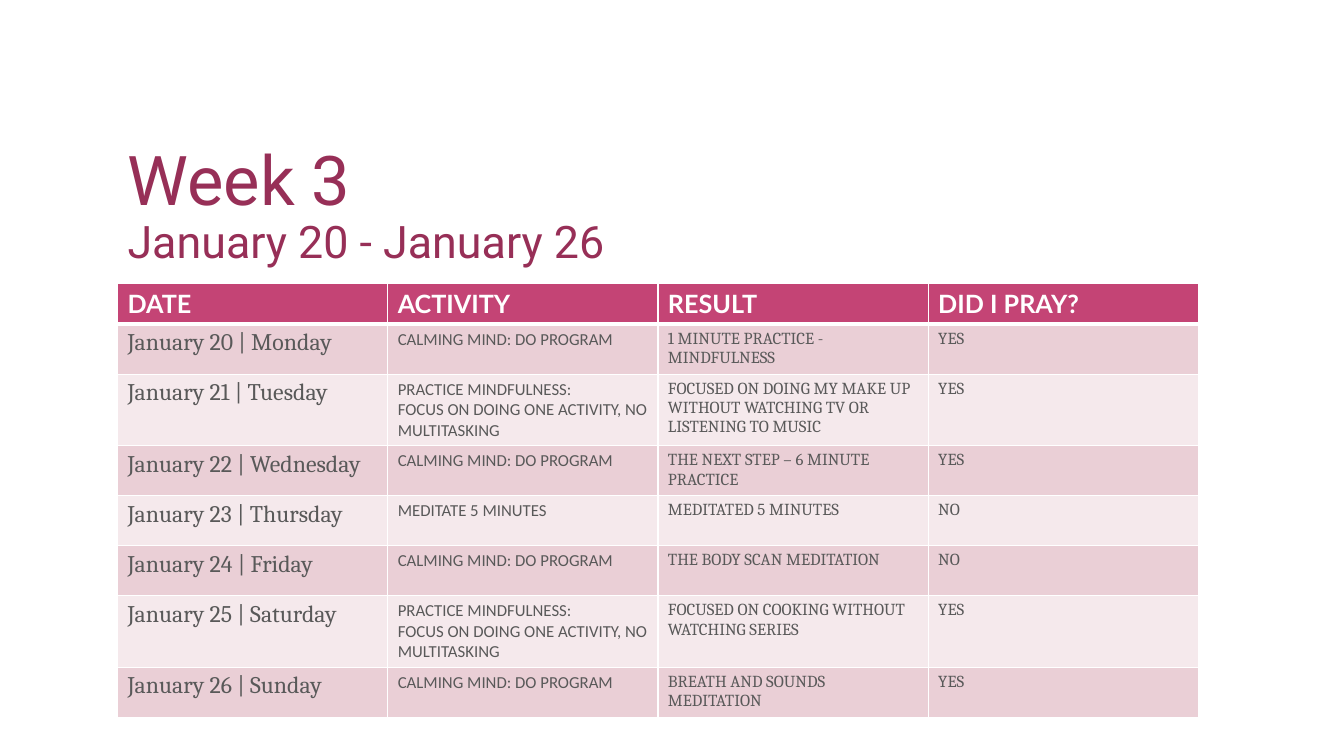
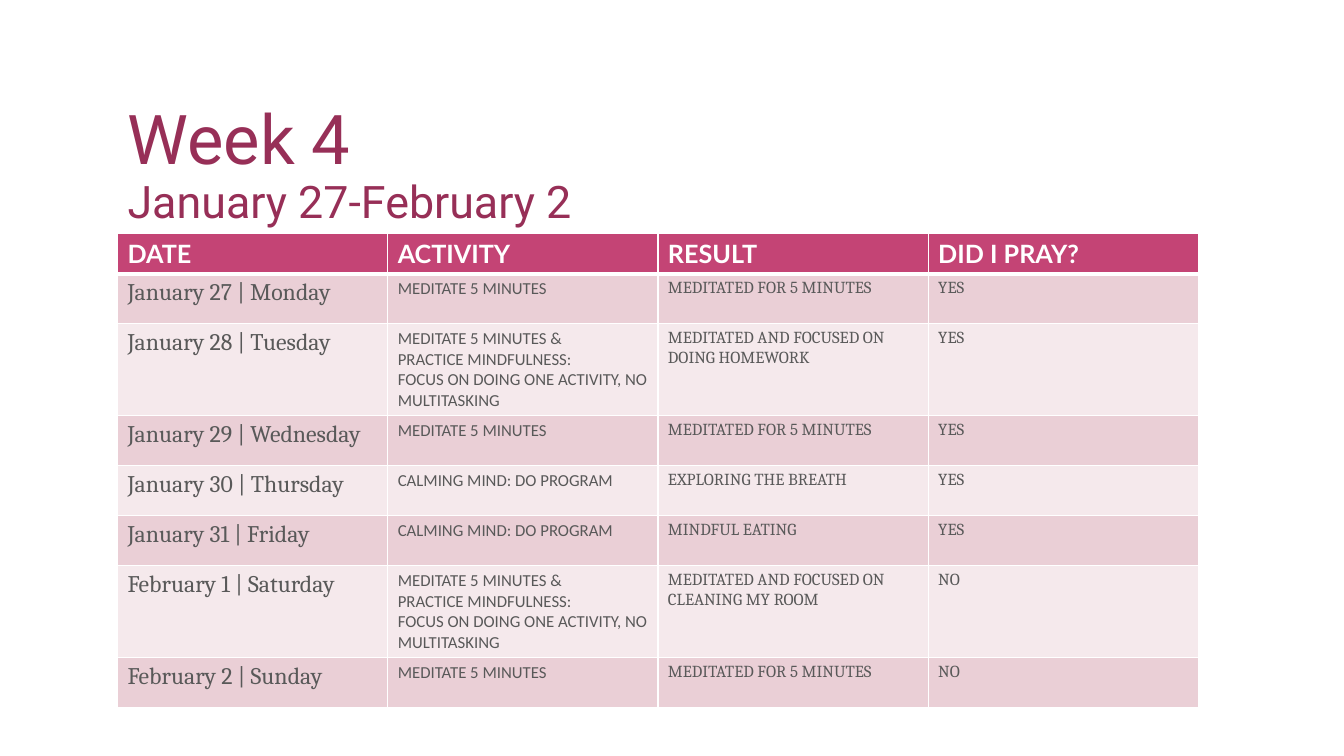
"""Build two weekly mindfulness log slides."""
from dataclasses import dataclass

from lxml import etree
from pptx import Presentation
from pptx import util as u
from pptx.dml.color import RGBColor
from pptx.enum import text
from pptx.oxml.ns import qn


@dataclass(frozen=True)
class Theme:
    """Colours, fonts, type sizes and shared positions."""
    title_color: str = "972F57"
    header_fill: str = "C44475"
    band_fills: tuple = ("EACFD6", "F5E9EC")
    white: str = "FFFFFF"
    body_color: str = "595959"
    title_font: str = "Roboto"
    header_font: str = "Lato"
    activity_font: str = "Calibri"
    body_font: str = "Cambria"
    title_size: float = 49
    subtitle_size: float = 32
    header_size: float = 18
    date_size: float = 17
    body_size: float = 12
    left: int = u.Cm(2.96)
    title_width: int = u.Cm(14.9)
    column_width: int = u.Cm(6.81)
    header_height: int = u.Cm(1)
    row_height: int = u.Cm(1.26)
    thin: float = 1
    thick: float = 3


THEME = Theme()
HEADERS = ("DATE", "ACTIVITY", "RESULT", "DID I PRAY?")
PROGRAM = "CALMING MIND: DO PROGRAM"
MEDITATE = "MEDITATE 5 MINUTES"
MEDITATED = "MEDITATED FOR 5 MINUTES"
FOCUS = "PRACTICE MINDFULNESS:\nFOCUS ON DOING ONE ACTIVITY, NO MULTITASKING"
MEDITATE_AND_FOCUS = f"{MEDITATE} &\n{FOCUS}"

WEEK_3 = (
    ("January 20 | Monday", PROGRAM, "1 MINUTE PRACTICE - MINDFULNESS", "YES"),
    ("January 21 | Tuesday", FOCUS,
     "FOCUSED ON DOING MY MAKE UP WITHOUT WATCHING TV OR LISTENING TO MUSIC", "YES"),
    ("January 22 | Wednesday", PROGRAM, "THE NEXT STEP – 6 MINUTE PRACTICE", "YES"),
    ("January 23 | Thursday", MEDITATE, "MEDITATED 5 MINUTES", "NO"),
    ("January 24 | Friday", PROGRAM, "THE BODY SCAN MEDITATION", "NO"),
    ("January 25 | Saturday", FOCUS, "FOCUSED ON COOKING WITHOUT WATCHING SERIES", "YES"),
    ("January 26 | Sunday", PROGRAM, "BREATH AND SOUNDS MEDITATION", "YES"),
)
WEEK_4 = (
    ("January 27 | Monday", MEDITATE, MEDITATED, "YES"),
    ("January 28 | Tuesday", MEDITATE_AND_FOCUS,
     "MEDITATED AND FOCUSED ON DOING HOMEWORK", "YES"),
    ("January 29 | Wednesday", MEDITATE, MEDITATED, "YES"),
    ("January 30 | Thursday", PROGRAM, "EXPLORING THE BREATH", "YES"),
    ("January 31 | Friday", PROGRAM, "MINDFUL EATING", "YES"),
    ("February 1 | Saturday", MEDITATE_AND_FOCUS,
     "MEDITATED AND FOCUSED ON CLEANING MY ROOM", "NO"),
    ("February 2 | Sunday", MEDITATE, MEDITATED, "NO"),
)


def write(paragraph, content, *, font, size, color, bold=False):
    """Add one formatted run to a paragraph."""
    run = paragraph.add_run()
    run.text = content
    run.font.name = font
    run.font.size = u.Pt(size)
    run.font.bold = bold
    run.font.color.rgb = RGBColor.from_string(color)


def add_title(slide, heading, dates, top, height):
    """Place the heading and its dates in the title placeholder."""
    title = slide.shapes.title
    title.left, title.top = THEME.left, top
    title.width, title.height = THEME.title_width, height
    frame = title.text_frame
    frame.word_wrap = True
    frame.auto_size = text.MSO_AUTO_SIZE.NONE
    frame.vertical_anchor = text.MSO_ANCHOR.BOTTOM
    paragraph = frame.paragraphs[0]
    paragraph.alignment = text.PP_ALIGN.LEFT
    paragraph.line_spacing = 0.9
    style = dict(font=THEME.title_font, color=THEME.title_color)
    write(paragraph, heading, size=THEME.title_size, **style)
    paragraph.add_line_break()
    write(paragraph, dates, size=THEME.subtitle_size, **style)


def set_borders(cell, top, bottom):
    """Draw white cell borders with the given top and bottom widths."""
    properties = cell._tc.get_or_add_tcPr()
    widths = dict(lnL=THEME.thin, lnR=THEME.thin, lnT=top, lnB=bottom)
    for side, width in widths.items():
        line = etree.SubElement(properties, qn(f"a:{side}"), w=str(u.Pt(width)))
        fill = etree.SubElement(line, qn("a:solidFill"))
        etree.SubElement(fill, qn("a:srgbClr"), val=THEME.white)


def fill_cell(cell, content, fill, top, bottom, **style):
    """Write a cell's paragraphs and set its borders and fill."""
    set_borders(cell, top, bottom)
    cell.fill.solid()
    cell.fill.fore_color.rgb = RGBColor.from_string(fill)
    frame = cell.text_frame
    for index, line in enumerate(content.split("\n")):
        paragraph = frame.add_paragraph() if index else frame.paragraphs[0]
        write(paragraph, line, **style)


def add_log(slide, days, top):
    """Add the table of daily activities under its header row."""
    height = THEME.header_height + len(days) * THEME.row_height
    table = slide.shapes.add_table(
        len(days) + 1, len(HEADERS), THEME.left, top,
        len(HEADERS) * THEME.column_width, height).table
    for column in table.columns:
        column.width = THEME.column_width
    for row in table.rows:
        row.height = THEME.row_height
    table.rows[0].height = THEME.header_height
    for column, label in enumerate(HEADERS):
        fill_cell(table.cell(0, column), label, THEME.header_fill,
                  THEME.thin, THEME.thick, font=THEME.header_font,
                  size=THEME.header_size, color=THEME.white, bold=True)
    fonts = (THEME.body_font, THEME.activity_font, THEME.body_font, THEME.body_font)
    for row, day in enumerate(days, start=1):
        fill = THEME.band_fills[(row - 1) % 2]
        top_width = THEME.thick if row == 1 else THEME.thin
        for column, content in enumerate(day):
            size = THEME.body_size if column else THEME.date_size
            fill_cell(table.cell(row, column), content, fill, top_width, THEME.thin,
                      font=fonts[column], size=size, color=THEME.body_color)


def add_week(presentation, heading, dates, days, title_top, title_height, table_top):
    """Add one slide with a week's title and log."""
    slide = presentation.slides.add_slide(presentation.slide_layouts[5])
    add_title(slide, heading, dates, title_top, title_height)
    add_log(slide, days, table_top)


def main():
    """Build and save the presentation."""
    presentation = Presentation()
    presentation.slide_width, presentation.slide_height = u.Cm(33.87), u.Cm(19.05)
    add_week(presentation, "Week 3", "January 20 - January 26", WEEK_3,
             u.Cm(2.57), u.Cm(4.32), u.Cm(7.15))
    add_week(presentation, "Week 4", "January 27-February 2", WEEK_4,
             u.Cm(2.06), u.Cm(3.81), u.Cm(5.88))
    presentation.save("out.pptx")


if __name__ == "__main__":
    main()
